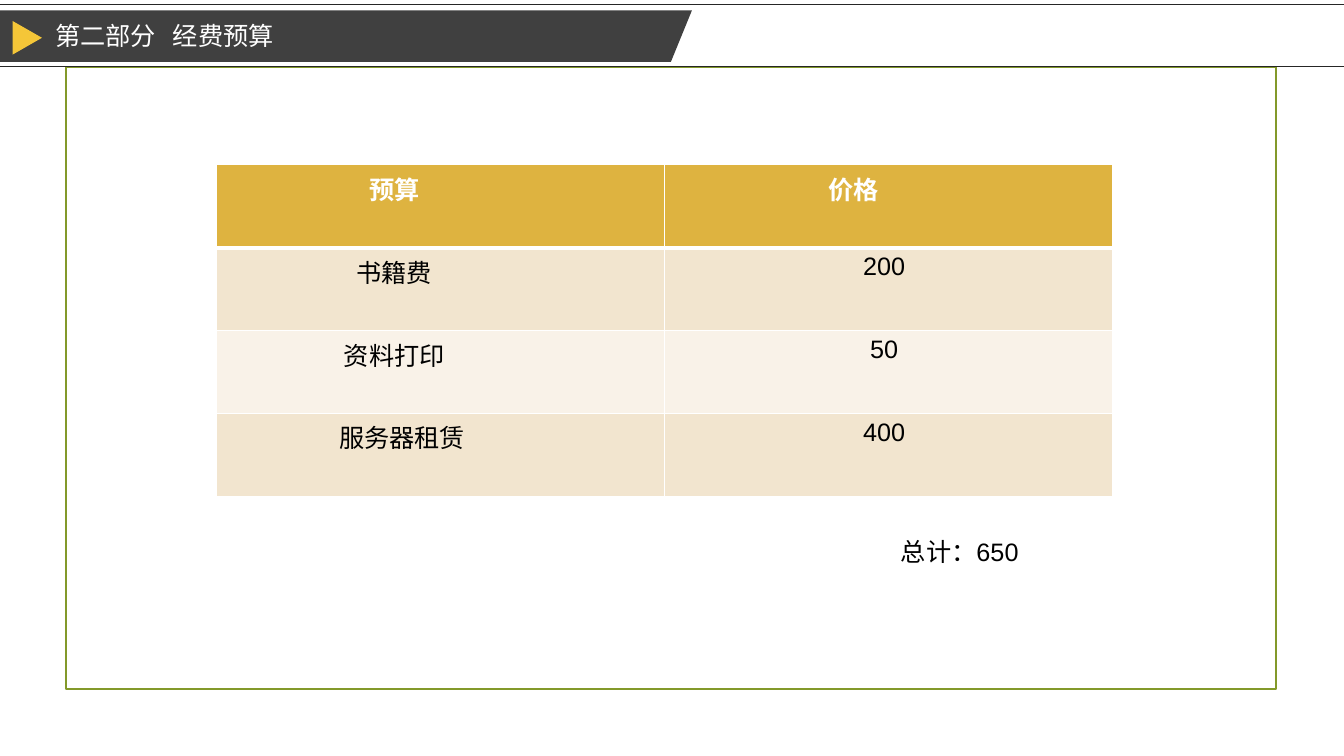
from dataclasses import dataclass

from lxml import etree
from pptx import Presentation
from pptx.dml.color import RGBColor
from pptx.enum.shapes import MSO_CONNECTOR, MSO_SHAPE
from pptx.enum.text import MSO_ANCHOR, MSO_AUTO_SIZE, PP_ALIGN
from pptx.oxml.ns import qn
from pptx.util import Emu, Pt

RECTANGLE = MSO_SHAPE.RECTANGLE
TRIANGLE = MSO_SHAPE.ISOSCELES_TRIANGLE
STRAIGHT = MSO_CONNECTOR.STRAIGHT
LEFT, CENTER = PP_ALIGN.LEFT, PP_ALIGN.CENTER
TITLE_ONLY = 5
PX = 9525
WIDTH, HEIGHT = 1280, 720
ROW_HEIGHT, COLUMN_WIDTH = 79, 427

BUDGET = [
    [("预算", 88), ("价格", 67)],
    [("书籍费", 88), ("200", 9)],
    [("资料打印", 88), ("50", 9)],
    [("服务器租赁", 73), ("400", 9)],
]


@dataclass(frozen=True)
class Theme:
    """Colours, fonts and sizes of the slide."""
    latin: str = "Arial"
    chinese: str = "Noto Sans CJK SC"
    size: float = 18
    white: str = "FFFFFF"
    black: str = "000000"
    rule: str = "262626"
    banner: str = "404040"
    marker: str = "F5C638"
    frame: str = "83992A"
    header: str = "DEB340"
    bands: tuple = ("F9F2E8", "F2E5CF")


THEME = Theme()


def px(*lengths):
    """Turn pixel lengths into EMU."""
    return [Emu(length * PX) for length in lengths]


def write_text(frame, text, color=THEME.black, bold=False, align=LEFT):
    """Write one formatted paragraph into a text frame and return it."""
    paragraph = frame.paragraphs[0]
    paragraph.alignment = align
    run = paragraph.add_run()
    run.text = text
    run.font.name = THEME.latin
    run.font.size = Pt(THEME.size)
    run.font.bold = bold
    run.font.color.rgb = RGBColor.from_string(color)
    east_asian = etree.SubElement(run.font._element, qn("a:ea"))
    east_asian.set("typeface", THEME.chinese)
    return paragraph


def style_shape(shape, fill=None, line=None):
    """Set fill and outline of a shape and remove its shadow."""
    shape.shadow.inherit = False
    if fill:
        shape.fill.solid()
        shape.fill.fore_color.rgb = RGBColor.from_string(fill)
    else:
        shape.fill.background()
    if line:
        shape.line.color.rgb = RGBColor.from_string(line)
        shape.line.width = Pt(1.25)
    else:
        shape.line.fill.background()


def add_rule(slide, top):
    """Draw a thin line across the whole slide."""
    rule = slide.shapes.add_connector(STRAIGHT, *px(0, top, WIDTH, top))
    rule.line.color.rgb = RGBColor.from_string(THEME.rule)
    rule.line.width = Pt(0.75)
    etree.SubElement(rule._element.spPr, qn("a:effectLst"))


def add_banner(slide):
    """Draw the slanted title banner and its marker."""
    builder = slide.shapes.build_freeform(0, 10, scale=PX)
    builder.add_line_segments([(659, 10), (639, 59), (0, 59)], close=True)
    style_shape(builder.convert_to_shape(), fill=THEME.banner)
    marker = slide.shapes.add_shape(TRIANGLE, *px(10, 22, 32, 28))
    marker.rotation = 90
    style_shape(marker, fill=THEME.marker)


def place_title(slide, text, tab):
    """Put the title on the banner, its second part at a tab stop."""
    title = slide.shapes.title
    title.left, title.top, title.width, title.height = px(43, 15, 240, 38)
    frame = title.text_frame
    frame.auto_size = MSO_AUTO_SIZE.NONE
    frame.vertical_anchor = MSO_ANCHOR.MIDDLE
    paragraph = write_text(frame, text, color=THEME.white)
    properties = paragraph._p.get_or_add_pPr()
    tabs = etree.SubElement(properties, qn("a:tabLst"))
    etree.SubElement(tabs, qn("a:tab"), pos=str(tab * PX), algn="l")
    slide.shapes._spTree.append(title.element)


def set_borders(cell, bottom):
    """Give a cell white borders with the given bottom width in points."""
    properties = cell._tc.get_or_add_tcPr()
    for side, width in zip("LRTB", (1, 1, 1, bottom)):
        line = etree.SubElement(properties, qn(f"a:ln{side}"), w=str(Pt(width)))
        fill = etree.SubElement(line, qn("a:solidFill"))
        etree.SubElement(fill, qn("a:srgbClr"), val=THEME.white)


def add_budget_table(slide):
    """Add the budget table with a header and banded rows."""
    rows, columns = len(BUDGET), len(BUDGET[0])
    size = px(COLUMN_WIDTH * columns, ROW_HEIGHT * rows)
    table = slide.shapes.add_table(rows, columns, *px(206, 157), *size).table
    for row, entries in enumerate(BUDGET):
        header = row == 0
        color = THEME.header if header else THEME.bands[row % 2]
        for column, (text, margin) in enumerate(entries):
            cell = table.cell(row, column)
            cell.margin_left, cell.margin_right = px(0, margin)
            set_borders(cell, bottom=3 if header or row == 0 else 1)
            if row == 1:
                cell._tc.tcPr.find(qn("a:lnT")).set("w", str(Pt(3)))
            cell.fill.solid()
            cell.fill.fore_color.rgb = RGBColor.from_string(color)
            write_text(cell.text_frame, text, bold=header, align=CENTER,
                       color=THEME.white if header else THEME.black)


def add_total(slide, text):
    """Add the total below the price column."""
    box = slide.shapes.add_textbox(*px(574, 506, 503, 38))
    box.text_frame.word_wrap = True
    box.text_frame.margin_left = Emu(284 * PX)
    write_text(box.text_frame, text)


def main():
    """Build and save the budget slide."""
    presentation = Presentation()
    presentation.slide_width, presentation.slide_height = px(WIDTH, HEIGHT)
    slide = presentation.slides.add_slide(presentation.slide_layouts[TITLE_ONLY])
    frame = slide.shapes.add_shape(RECTANGLE, *px(63, 64, 1152, 592))
    style_shape(frame, line=THEME.frame)
    for top in (4, 63):
        add_rule(slide, top)
    add_banner(slide)
    place_title(slide, "第二部分\t经费预算", tab=112)
    add_budget_table(slide)
    add_total(slide, "总计：650")
    presentation.save("out.pptx")


if __name__ == "__main__":
    main()
